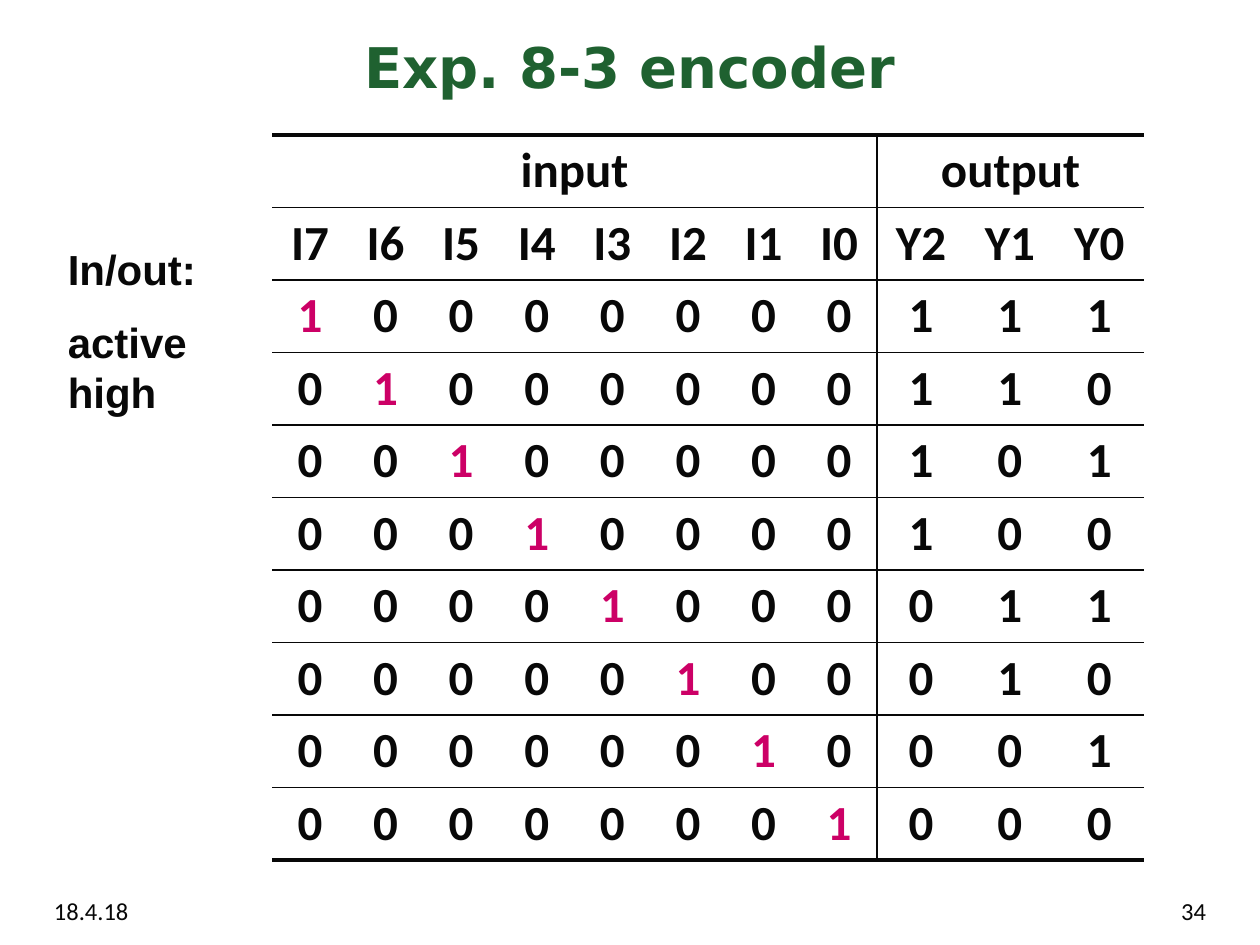
from dataclasses import dataclass

import pptx
import pptx.dml.color
import pptx.enum.text
import pptx.oxml
import pptx.oxml.ns
import pptx.util

Inches = pptx.util.Inches
Pt = pptx.util.Pt
RGBColor = pptx.dml.color.RGBColor
Align = pptx.enum.text.PP_ALIGN
Anchor = pptx.enum.text.MSO_ANCHOR

INK = RGBColor(0x08, 0x08, 0x08)
GREEN = RGBColor(0x1F, 0x61, 0x30)
PINK = RGBColor(0xCC, 0x00, 0x66)

INPUTS = 8
OUTPUTS = 3
COLUMN_WIDTHS = [0.6] * INPUTS + [0.7, 0.71, 0.71]
ROW_HEIGHT = 0.57
THICK, THIN, NONE = 2.25, 1, 0


@dataclass
class Label:
    lines: list[str]
    left: float
    top: float
    width: float
    height: float
    font: dict
    align: Align = Align.LEFT
    gap: float = 0


FOOTER_FONT = {"name": "Calibri", "size": Pt(14)}
NOTE_FONT = {"name": "Arial", "size": Pt(24), "bold": True}
TITLE_FONT = {"name": "DejaVu Sans", "size": Pt(32), "bold": True}
CELL_FONT = {"name": "Calibri", "size": Pt(28), "bold": True}

LABELS = [
    Label(["18.4.18"], 0.33, 7.06, 2.5, 0.29, FOOTER_FONT),
    Label(["34"], 7.17, 7.06, 2.5, 0.29, FOOTER_FONT, Align.RIGHT),
    Label(["In/out:", "active high"], 0.44, 1.88, 1.8, 1.5, NOTE_FONT, gap=13),
]


def write(paragraph, text: str, font: dict, color: RGBColor, align: Align) -> None:
    span = paragraph.add_run()
    span.text = text
    for name, value in font.items():
        setattr(span.font, name, value)
    span.font.color.rgb = color
    paragraph.alignment = align


def add_title(page, text: str) -> None:
    title = page.shapes.title
    place = {"left": 0.33, "top": 0.25, "width": 9.34, "height": 0.55}
    for name, value in place.items():
        setattr(title, name, Inches(value))
    frame = title.text_frame
    frame.auto_size = pptx.enum.text.MSO_AUTO_SIZE.NONE
    frame.vertical_anchor = Anchor.MIDDLE
    write(frame.paragraphs[0], text, TITLE_FONT, GREEN, Align.CENTER)


def add_label(page, label: Label) -> None:
    box = page.shapes.add_textbox(
        Inches(label.left), Inches(label.top), Inches(label.width), Inches(label.height)
    )
    frame = box.text_frame
    frame.word_wrap = True
    for index, line in enumerate(label.lines):
        paragraph = frame.add_paragraph() if index else frame.paragraphs[0]
        if index:
            paragraph.space_before = Pt(label.gap)
        write(paragraph, line, label.font, INK, label.align)


def set_borders(cell, widths: dict[str, float]) -> None:
    """Draw each side, keyed L, R, T, B, at its width in points; 0 hides it."""
    properties = cell._tc.get_or_add_tcPr()
    for side, width in widths.items():
        fill = f'<a:solidFill><a:srgbClr val="{INK}"/></a:solidFill>' if width else "<a:noFill/>"
        properties.append(
            pptx.oxml.parse_xml(
                f'<a:ln{side} {pptx.oxml.ns.nsdecls("a")} w="{int(Pt(width))}">{fill}</a:ln{side}>'
            )
        )


def truth_rows() -> list[list[str]]:
    """Header names, then one active input per row with its number in binary."""
    names = [f"I{n}" for n in reversed(range(INPUTS))]
    names += [f"Y{n}" for n in reversed(range(OUTPUTS))]
    rows = [names]
    for number in reversed(range(INPUTS)):
        rows.append(list(f"{1 << number:0{INPUTS}b}{number:0{OUTPUTS}b}"))
    return rows


def add_truth_table(page) -> None:
    groups = [""] * len(COLUMN_WIDTHS)
    groups[0], groups[INPUTS] = "input", "output"
    rows = [groups] + truth_rows()
    last = len(rows) - 1
    table = page.shapes.add_table(
        len(rows), len(COLUMN_WIDTHS), Inches(2.16), Inches(1.07),
        Inches(sum(COLUMN_WIDTHS)), Inches(ROW_HEIGHT * len(rows)),
    ).table
    table.first_row = table.horz_banding = False
    for column, width in zip(table.columns, COLUMN_WIDTHS):
        column.width = Inches(width)
    table.cell(0, 0).merge(table.cell(0, INPUTS - 1))
    table.cell(0, INPUTS).merge(table.cell(0, len(COLUMN_WIDTHS) - 1))

    for r, row in enumerate(rows):
        table.rows[r].height = Inches(ROW_HEIGHT)
        for c, text in enumerate(row):
            cell = table.cell(r, c)
            ends_inputs = c == INPUTS - 1 or (r == 0 and c == 0)
            set_borders(cell, {
                "L": THIN if c == INPUTS else NONE,
                "R": THIN if ends_inputs else NONE,
                "T": THICK if r == 0 else THIN,
                "B": THICK if r == last else THIN,
            })
            cell.fill.background()
            if text:
                color = PINK if text == "1" and c < INPUTS else INK
                write(cell.text_frame.paragraphs[0], text, CELL_FONT, color, Align.CENTER)


def main() -> None:
    deck = pptx.Presentation()
    deck.slide_width, deck.slide_height = Inches(10), Inches(7.5)
    page = deck.slides.add_slide(deck.slide_layouts[5])
    add_title(page, "Exp. 8-3 encoder")
    add_truth_table(page)
    for label in LABELS:
        add_label(page, label)
    deck.save("out.pptx")


if __name__ == "__main__":
    main()
